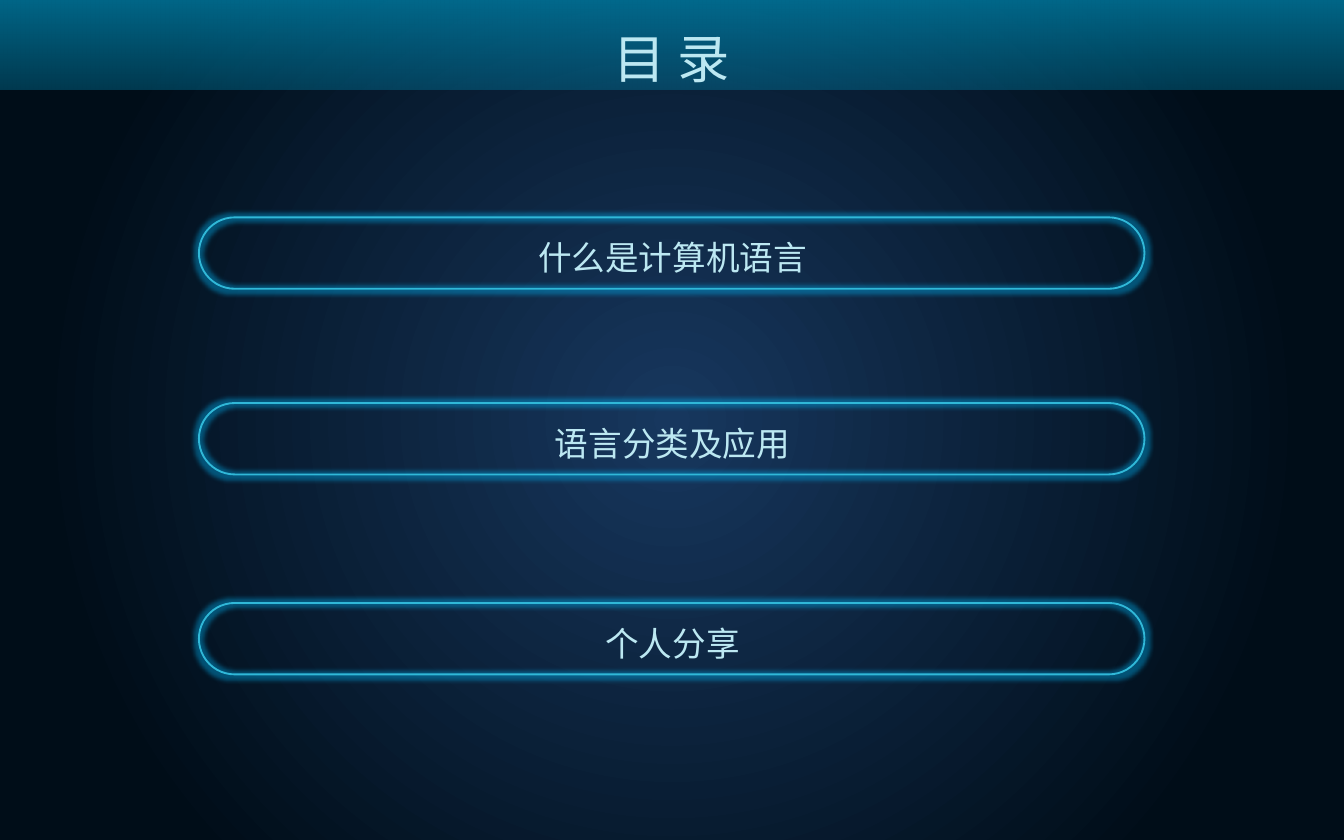
from lxml import etree
from pptx import Presentation, util as u
from pptx.dml.color import RGBColor
from pptx.enum import shapes, text
from pptx.oxml import parse_xml
from pptx.oxml.ns import nsdecls, qn

FONT = "Noto Sans CJK SC"
ICE = "BCE8F2"


def set_fill(fill_owner, stops, direction):
    """Replace a solid fill by a gradient of (position, colour, opacity) stops."""
    marks = "".join(
        f'<a:gs pos="{pos * 1000}"><a:srgbClr val="{colour}">'
        f'<a:alpha val="{opacity * 1000}"/></a:srgbClr></a:gs>'
        for pos, colour, opacity in stops)
    solid = fill_owner.find(qn("a:solidFill"))
    solid.getparent().replace(solid, parse_xml(
        f'<a:gradFill {nsdecls("a")} rotWithShape="1">'
        f'<a:gsLst>{marks}</a:gsLst>{direction}</a:gradFill>'))


def add_label(parent, wording, box, size, line_spacing=1.0):
    """Add one centred line of text and return its run."""
    label = parent.add_textbox(*(u.Cm(length) for length in box))
    frame = label.text_frame
    for name, value in {"word_wrap": True,
                        "vertical_anchor": text.MSO_ANCHOR.MIDDLE}.items():
        setattr(frame, name, value)
    line = frame.paragraphs[0]
    for name, value in {"alignment": text.PP_ALIGN.CENTER,
                        "line_spacing": line_spacing}.items():
        setattr(line, name, value)
    run = line.add_run()
    run.text = wording
    for name, value in {"size": u.Pt(size), "name": FONT}.items():
        setattr(run.font, name, value)
    run.font.fill.solid()
    run.font.fill.fore_color.rgb = RGBColor.from_string(ICE)
    etree.SubElement(run._r.get_or_add_rPr(), qn("a:ea"), typeface=FONT)
    return run


deck = Presentation()
deck.slide_width, deck.slide_height = u.Cm(25.4), u.Cm(15.88)
slide = deck.slides.add_slide(deck.slide_layouts[6])

# Background: blue centre fading to near black
slide.background.fill.solid()
set_fill(slide.background._cSld.bg.bgPr,
         [(0, "17375E", 100), (80, "000D18", 100)],
         '<a:path path="circle"><a:fillToRect l="50000" t="50000" r="50000" b="50000"/></a:path>')

# Header band
header = slide.shapes.add_shape(shapes.MSO_SHAPE.ROUND_2_SAME_RECTANGLE,
                                0, 0, deck.slide_width, u.Cm(1.7))
header.adjustments[0] = 0
header.shadow.inherit = False
header.line.fill.background()
header.fill.solid()
set_fill(header._element.spPr, [(0, "007DA4", 80), (100, "007DA4", 39)],
         '<a:lin ang="5400000" scaled="0"/>')

# Contents: glowing outlines with their topics
topics = {"什么是计算机语言": 4.11, "语言分类及应用": 7.62, "个人分享": 11.4}
for topic, top in topics.items():
    entry = slide.shapes.add_group_shape().shapes
    outline = entry.add_shape(shapes.MSO_SHAPE.ROUNDED_RECTANGLE,
                              u.Cm(3.76), u.Cm(top), u.Cm(17.87), u.Cm(1.35))
    outline.adjustments[0] = 0.5
    outline.fill.background()
    outline.line.color.rgb = RGBColor.from_string("30B8D8")
    outline.line.width = u.Pt(1)
    outline.shadow.inherit = False
    outline._element.spPr.find(qn("a:effectLst")).append(parse_xml(
        f'<a:glow {nsdecls("a")} rad="{u.Pt(5)}"><a:srgbClr val="00B0F0">'
        '<a:alpha val="40000"/></a:srgbClr></a:glow>'))
    add_label(entry, topic, (8.76, top + 0.25, 7.9, 1.02), 18)

# Title
title = add_label(slide.shapes, "目 录", (10.6, 0.13, 4.2, 1.7), 28, 1.2)
set_fill(title._r.rPr, [(0, "4EC3DE", 100), (40, ICE, 100),
                        (60, ICE, 100), (100, "4EC3DE", 100)],
         '<a:lin ang="0" scaled="0"/>')

deck.save("out.pptx")
